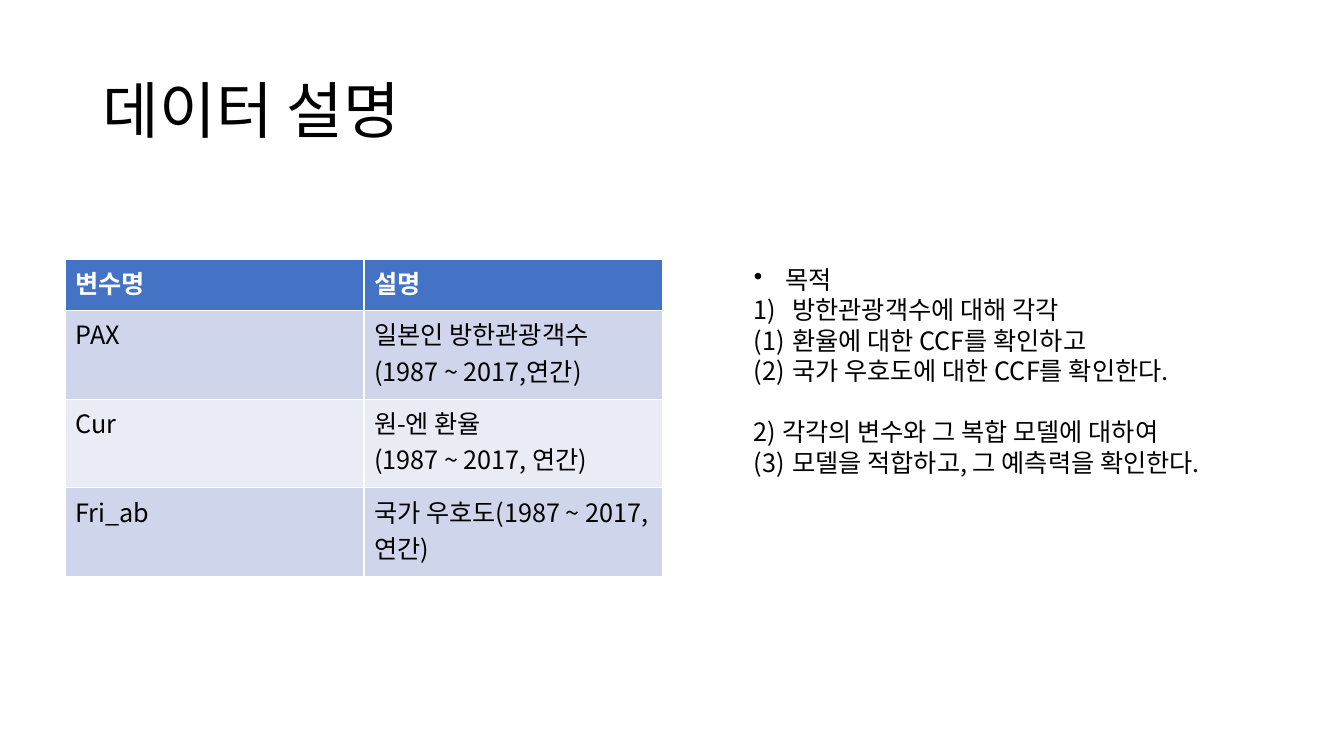
from pptx import Presentation
from pptx.dml.color import RGBColor
from pptx.enum.text import MSO_ANCHOR, PP_ALIGN
from pptx.oxml.ns import qn
from pptx.util import Inches, Pt
from lxml.etree import SubElement

FONT = "Noto Sans CJK KR"
BLACK = RGBColor(0x00, 0x00, 0x00)
WHITE = RGBColor(0xFF, 0xFF, 0xFF)
HEADER_BLUE = RGBColor(0x44, 0x72, 0xC4)
BANDS = (RGBColor(0xE9, 0xEB, 0xF5), RGBColor(0xCF, 0xD5, 0xEA))
LINE_HEIGHT = Pt(21.75)

VARIABLES = [
    ("변수명", "설명"),
    ("PAX", "일본인 방한관광객수(1987 ~ 2017,연간)"),
    ("Cur", "원-엔 환율\v(1987 ~ 2017, 연간)"),
    ("Fri_ab", "국가 우호도(1987 ~ 2017,연간)"),
]
GOALS = [
    ("목적", 0.31, "buChar", {"char": "•"}),
    ("방한관광객수에 대해 각각", 0.38, "buAutoNum", {"type": "arabicParenR"}),
    ("환율에 대한 CCF를 확인하고", 0.38, "buAutoNum", {"type": "arabicParenBoth"}),
    ("국가 우호도에 대한 CCF를 확인한다.", 0.38, "buAutoNum", {"type": "arabicParenBoth"}),
    ("2) 각각의 변수와 그 복합 모델에 대하여", 0.38, "buNone", {}),
    ("모델을 적합하고, 그 예측력을 확인한다.", 0.38, "buAutoNum",
     {"type": "arabicParenBoth", "startAt": "3"}),
]


def style(paragraph, size, color, bold=False):
    """Set the font of a whole paragraph, for Latin and Korean letters."""
    font = paragraph.font
    font.size, font.bold, font.name = Pt(size), bold, FONT
    font.color.rgb = color
    properties = paragraph._p.get_or_add_pPr().find(qn("a:defRPr"))
    SubElement(properties, qn("a:ea"), typeface=FONT)


def add_title(slide, wording):
    """Place and format the title placeholder."""
    title = slide.shapes.title
    title.left, title.top = Inches(0.92), Inches(0.4)
    title.width, title.height = Inches(11.5), Inches(1.45)
    title.text_frame.text = wording
    title.text_frame.vertical_anchor = MSO_ANCHOR.MIDDLE
    heading = title.text_frame.paragraphs[0]
    heading.alignment = PP_ALIGN.LEFT
    heading.line_spacing = 0.9
    style(heading, 44, BLACK)


def add_variable_table(slide):
    """Add the banded table of variables."""
    table = slide.shapes.add_table(
        len(VARIABLES), 2, Inches(0.65), Inches(2.57), Inches(5.92), Inches(3.15)
    ).table
    for r, entries in enumerate(VARIABLES):
        header = r == 0
        table.rows[r].height = Inches(0.51 if header else 0.88)
        for c, entry in enumerate(entries):
            cell = table.cell(r, c)
            cell.text_frame.text = entry
            cell.fill.solid()
            cell.fill.fore_color.rgb = HEADER_BLUE if header else BANDS[r % 2]
            style(cell.text_frame.paragraphs[0], 18, WHITE if header else BLACK, header)


def add_goals(slide):
    """Add the bulleted and numbered list of goals."""
    frame = slide.shapes.add_textbox(
        Inches(7.38), Inches(2.57), Inches(5.63), Inches(2.22)
    ).text_frame
    frame.word_wrap = True
    for i, (wording, indent, marker, attributes) in enumerate(GOALS):
        goal = frame.add_paragraph() if i else frame.paragraphs[0]
        goal.text = wording
        goal.line_spacing = LINE_HEIGHT
        if marker == "buNone":
            goal.space_before = LINE_HEIGHT
        properties = goal._p.get_or_add_pPr()
        properties.set("marL", str(Inches(indent)))
        properties.set("indent", str(-Inches(indent)))
        SubElement(properties, qn(f"a:{marker}"), attributes)
        style(goal, 18, BLACK)


def main():
    """Build the data description slide."""
    deck = Presentation()
    deck.slide_width, deck.slide_height = Inches(13.33), Inches(7.5)
    slide = deck.slides.add_slide(deck.slide_layouts[5])
    add_title(slide, "데이터 설명")
    add_variable_table(slide)
    add_goals(slide)
    deck.save("out.pptx")


if __name__ == "__main__":
    main()
